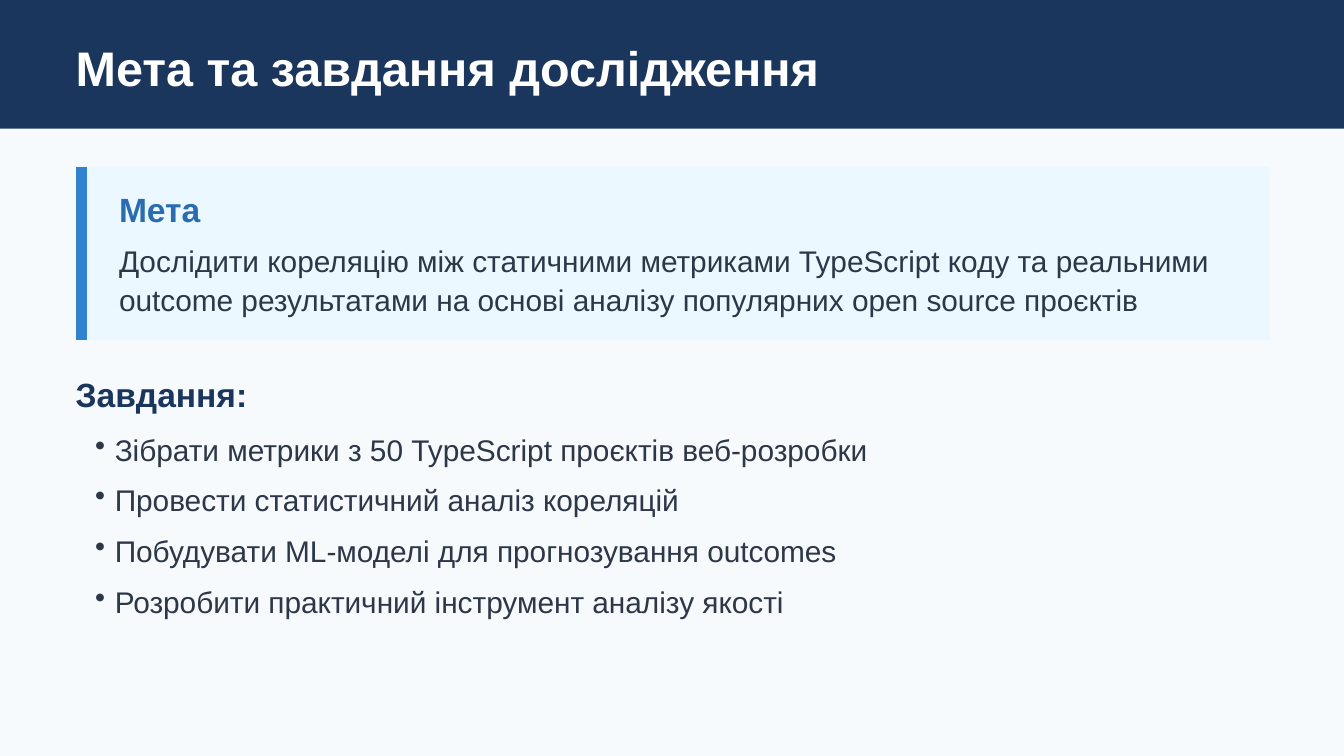
from lxml import etree
from pptx import Presentation
from pptx.dml.color import RGBColor
from pptx.enum.shapes import MSO_CONNECTOR, MSO_SHAPE
from pptx.enum.text import MSO_ANCHOR
from pptx.oxml.ns import qn
from pptx.util import Emu, Pt

RECTANGLE = MSO_SHAPE.RECTANGLE
STRAIGHT = MSO_CONNECTOR.STRAIGHT
TOP = MSO_ANCHOR.TOP

EMU_PER_PX = 9525
WIDTH, HEIGHT = 960, 540
COLORS = {
    "background": "F7FAFC",
    "navy": "1A365D",
    "white": "FFFFFF",
    "panel": "EBF8FF",
    "accent": "3182CE",
    "heading": "2B6CB0",
    "body": "2D3748",
}


def px(value):
    return Emu(value * EMU_PER_PX)


def color(name):
    return RGBColor.from_string(COLORS[name])


class SlideBuilder:
    def __init__(self, slide, font="Arial"):
        self.slide = slide
        self.font = font

    def background(self, fill):
        self.slide.background.fill.solid()
        self.slide.background.fill.fore_color.rgb = color(fill)

    def rect(self, x, y, w, h, fill):
        shape = self.slide.shapes.add_shape(RECTANGLE, px(x), px(y), px(w), px(h))
        shape.shadow.inherit = False
        shape.fill.solid()
        shape.fill.fore_color.rgb = color(fill)
        shape.line.fill.background()

    def line(self, x1, y1, x2, y2, stroke, width):
        line = self.slide.shapes.add_connector(STRAIGHT, px(x1), px(y1), px(x2), px(y2))
        line.line.color.rgb = color(stroke)
        line.line.width = Pt(width)
        etree.SubElement(line._element.spPr, qn("a:effectLst"))

    def text(self, x, y, w, h, paragraphs, size, fill, bold=False,
             leading=None, after=None, indent=0):
        """Write paragraphs; an indent turns them into a bulleted list."""
        frame = self.slide.shapes.add_textbox(px(x), px(y), px(w), px(h)).text_frame
        frame.word_wrap = True
        frame.vertical_anchor = TOP
        frame.margin_left = px(indent)
        frame.margin_top = frame.margin_right = frame.margin_bottom = 0
        for i, content in enumerate(paragraphs):
            paragraph = frame.add_paragraph() if i else frame.paragraphs[0]
            if leading:
                paragraph.line_spacing = Pt(leading)
            if after:
                paragraph.space_after = Pt(after)
            if indent:
                self.bullet(paragraph, indent)
            run = paragraph.add_run()
            run.text = content
            run.font.name = self.font
            run.font.size = Pt(size)
            run.font.bold = bold
            run.font.color.rgb = color(fill)

    def bullet(self, paragraph, indent):
        properties = paragraph._p.get_or_add_pPr()
        properties.set("marL", str(px(indent)))
        properties.set("indent", str(-px(indent)))
        etree.SubElement(properties, qn("a:buChar"), char="•")


def main():
    prs = Presentation()
    prs.slide_width, prs.slide_height = px(WIDTH), px(HEIGHT)
    page = SlideBuilder(prs.slides.add_slide(prs.slide_layouts[6]))
    page.background("background")

    margin = 54
    content_width = 853
    heading_width = 871

    # Header band
    page.rect(0, 0, WIDTH, 92, "navy")
    page.text(margin, 27, heading_width, 39, ["Мета та завдання дослідження"],
              26, "white", bold=True)

    # Goal panel with accent bar
    panel_top, panel_height = 119, 124
    bar_x = margin + 4
    goal_x, goal_width = 85, 813
    page.rect(margin, panel_top, content_width, panel_height, "panel")
    page.line(bar_x, panel_top, bar_x, panel_top + panel_height, "accent", 6)
    page.text(goal_x, 135, goal_width, 28, ["Мета"], 18, "heading", bold=True, after=6)
    goal = ("Дослідити кореляцію між статичними метриками TypeScript коду та реальними "
            "outcome результатами на основі аналізу популярних open source проєктів")
    page.text(goal_x, 171, goal_width, 56, [goal], 16, "body", leading=20.8)

    # Task list
    page.text(margin, 267, heading_width, 28, ["Завдання:"], 18, "navy", bold=True, after=10)
    tasks = [
        "Зібрати метрики з 50 TypeScript проєктів веб-розробки",
        "Провести статистичний аналіз кореляцій",
        "Побудувати ML-моделі для прогнозування outcomes",
        "Розробити практичний інструмент аналізу якості",
    ]
    page.text(margin, 308, content_width, 134, tasks, 16, "body",
              leading=19.2, after=8, indent=14)

    prs.save("out.pptx")


if __name__ == "__main__":
    main()
